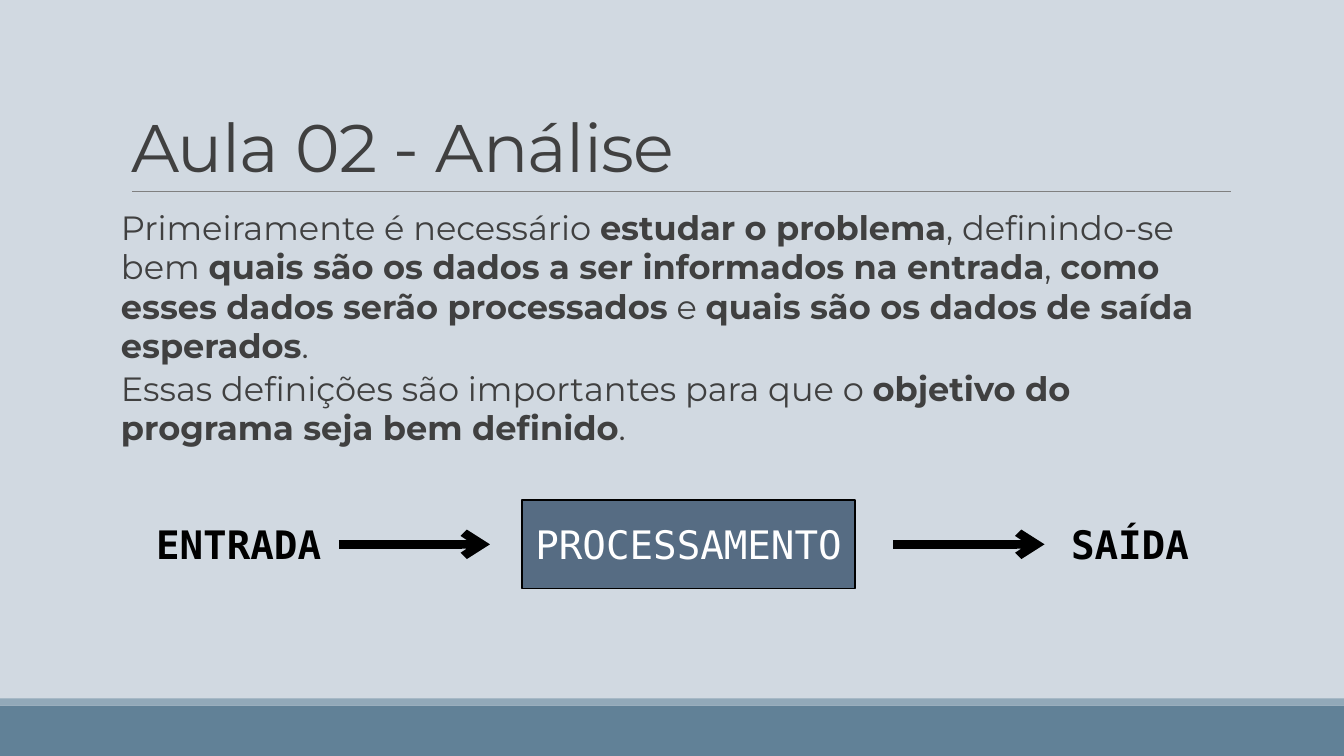
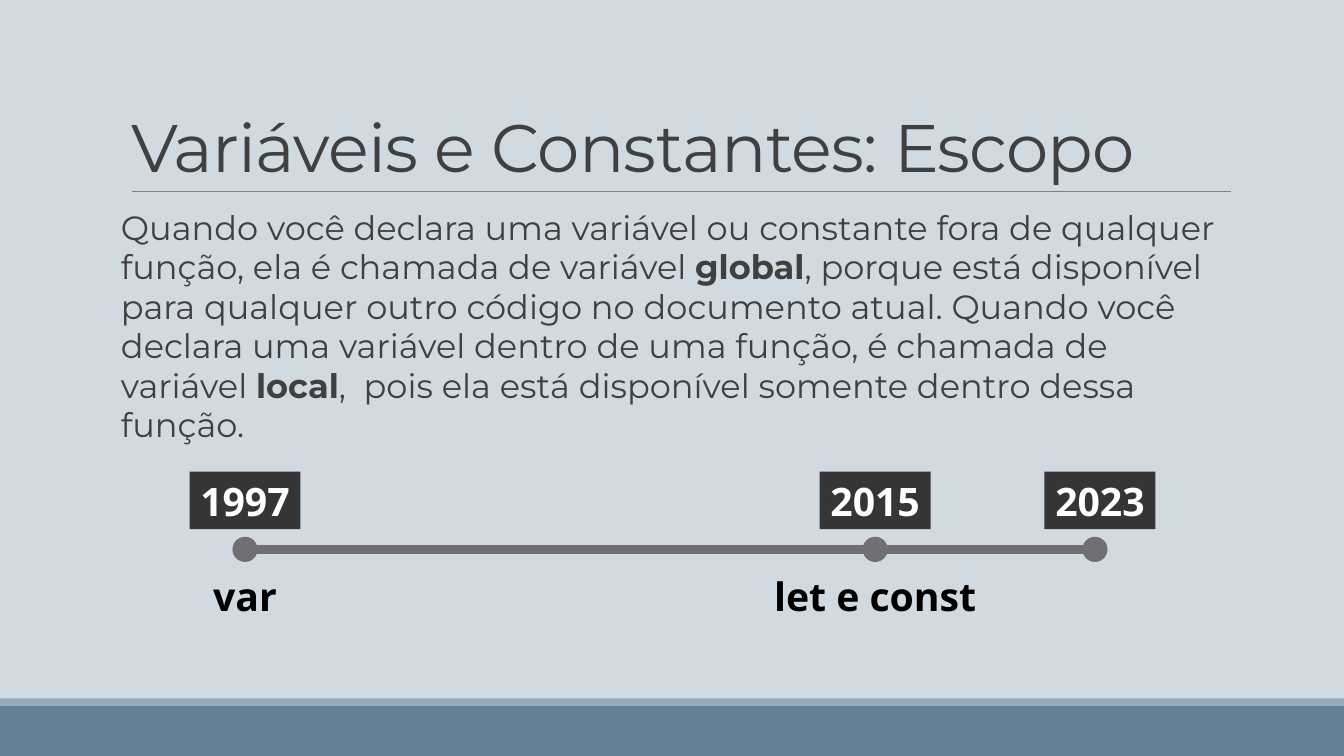
"""Two lesson slides: the analysis flow and a timeline of variable scope."""
from lxml.etree import SubElement
from pptx import Presentation
from pptx.dml.color import RGBColor
from pptx.enum.shapes import MSO_CONNECTOR, MSO_SHAPE
from pptx.enum.text import MSO_ANCHOR, MSO_AUTO_SIZE, PP_ALIGN
from pptx.oxml.ns import qn
from pptx.util import Inches, Pt

FLOW = {
    "title": "Aula 02 - Análise",
    "body": [
        "Primeiramente é necessário *estudar o problema*, definindo-se bem "
        "*quais são os dados a ser informados na entrada*, *como esses dados "
        "serão processados* e *quais são os dados de saída esperados*.",
        "Essas definições são importantes para que o *objetivo do programa "
        "seja bem definido*.",
    ],
    "steps": ("ENTRADA", "PROCESSAMENTO", "SAÍDA"),
}
SCOPE = {
    "title": "Variáveis e Constantes: Escopo",
    "body": [
        "Quando você declara uma variável ou constante fora de qualquer função, "
        "ela é chamada de variável *global*, porque está disponível para qualquer "
        "outro código no documento atual. Quando você declara uma variável dentro "
        "de uma função, é chamada de variável *local*,  pois ela está disponível "
        "somente dentro dessa função.",
    ],
    "marks": [
        ("1997", 2.43, 2.43, "var", 0.84),
        ("2015", 8.68, 8.68, "let e const", 2.22),
        ("2023", 10.91, 10.86, "", 0),
    ],
}
HUES = {
    "back": "D1D9E1", "band": "618197", "strip": "92A9B9", "rule": "808080",
    "text": "404040", "box": "566C83", "ink": "000000", "white": "FFFFFF",
    "time": "6F6F74", "tag": "353537",
}
SANS, MONO, OPEN = "Montserrat", "DejaVu Sans Mono", "Open Sans"
WIDE, HIGH = 13.33, 7.5
LEFT, SPAN, RULE = 1.2, 11, 1.9
ROW = 0.57


def hue(name):
    return RGBColor.from_string(HUES[name])


def place(item, left, top, width, height):
    item.left, item.top = Inches(left), Inches(top)
    item.width, item.height = Inches(width), Inches(height)


def style(par, face, size, color, bold=None, align=PP_ALIGN.LEFT):
    par.font.name, par.font.size, par.font.bold = face, Pt(size), bold
    par.font.color.rgb = hue(color)
    par.alignment = align


def block(slide, kind, area, fill, edge=None):
    item = slide.shapes.add_shape(kind, *map(Inches, area))
    item.shadow.inherit = False
    item.fill.solid()
    item.fill.fore_color.rgb = hue(fill)
    if edge:
        item.line.color.rgb = hue(edge)
        item.line.width = Pt(1.25)
    else:
        item.line.fill.background()
    return item


def line(slide, start, end, y, color, width, arrow=False):
    item = slide.shapes.add_connector(
        MSO_CONNECTOR.STRAIGHT, *map(Inches, (start, y, end, y)))
    item.line.color.rgb = hue(color)
    item.line.width = Pt(width)
    props = item.element.spPr
    if arrow:
        SubElement(props.find(qn("a:ln")), qn("a:tailEnd"), type="arrow")
    SubElement(props, qn("a:effectLst"))
    return item


def write(item, text, face, color, bold=True, align=PP_ALIGN.CENTER, wrap=True):
    frame = item.text_frame
    frame.word_wrap = wrap
    frame.vertical_anchor = MSO_ANCHOR.MIDDLE
    frame.text = text
    style(frame.paragraphs[0], face, 28, color, bold, align)


def label(slide, text, area, face, align=PP_ALIGN.CENTER, wrap=True):
    item = slide.shapes.add_textbox(*map(Inches, area))
    write(item, text, face, "ink", align=align, wrap=wrap)


def dress(layout, slide):
    rect = MSO_SHAPE.RECTANGLE
    parts = [
        block(slide, rect, (0, 7, WIDE, 0.5), "band"),
        block(slide, rect, (0, 6.93, WIDE, 0.07), "strip"),
        line(slide, 1.31, 12.21, RULE, "rule", 0.5),
    ]
    for part in parts:
        layout.shapes.element.append(part.element)


def fill(slide, data):
    title, body = slide.placeholders
    place(title, LEFT, 0.31, SPAN, 1.59)
    frame = title.text_frame
    frame.text = data["title"]
    frame.vertical_anchor = MSO_ANCHOR.BOTTOM
    frame.auto_size = MSO_AUTO_SIZE.NONE
    head = frame.paragraphs[0]
    head.line_spacing = 0.85
    style(head, SANS, 48, "text")
    for run in title.element.iter(qn("a:r")):
        run.get_or_add_rPr().set("spc", "-50")

    place(body, LEFT, 2.02, SPAN, 4.4)
    frame = body.text_frame
    frame.auto_size = MSO_AUTO_SIZE.NONE
    frame.margin_left = frame.margin_right = 0
    frame.text = "\n".join(data["body"])
    for par, text in zip(frame.paragraphs, data["body"]):
        par.clear()
        for spot, piece in enumerate(text.split("*")):
            run = par.add_run()
            run.text = piece
            if spot % 2:
                run.font.bold = True
        style(par, SANS, 24, "text")
        par.space_before, par.space_after = Pt(0), Pt(2)
        par.line_spacing = 0.98
    for props in body.element.iter(qn("a:pPr")):
        props.set("marL", "0")
        props.set("indent", "0")
        bare = props.makeelement(qn("a:buNone"), {})
        props.insert_element_before(bare, "a:tabLst", "a:defRPr", "a:extLst")


def flow(slide, steps):
    mid, wide, tall = 5.4, 3.11, 0.88
    first, core, last = steps
    box = block(slide, MSO_SHAPE.RECTANGLE,
                (5.18, mid - tall / 2, 3.3, tall), "box", "ink")
    write(box, core, MONO, "white", bold=False)
    top = mid - ROW / 2
    label(slide, first, (1.45, top, wide, ROW), MONO, PP_ALIGN.LEFT)
    label(slide, last, (8.78, top, wide, ROW), MONO, PP_ALIGN.RIGHT)
    for start in (3.36, 8.86):
        line(slide, start, start + 1.5, mid, "ink", 6, arrow=True)


def times(slide, marks):
    mid, wide, dot = 5.45, 1.1, 0.25
    line(slide, marks[0][1], marks[-1][1], mid, "time", 6)
    for year, x, spot, name, span in marks:
        tag = block(slide, MSO_SHAPE.RECTANGLE,
                    (x - wide / 2, 4.68, wide, ROW), "tag")
        write(tag, year, OPEN, "white", wrap=False)
        block(slide, MSO_SHAPE.OVAL,
              (spot - dot / 2, mid - dot / 2, dot, dot), "time")
        if name:
            label(slide, name, (x - span / 2, 5.63, span, ROW), OPEN, wrap=False)


deck = Presentation()
deck.slide_width, deck.slide_height = Inches(WIDE), Inches(HIGH)
back = deck.slide_master.background.fill
back.solid()
back.fore_color.rgb = hue("back")
layout = deck.slide_layouts[1]
one, two = [deck.slides.add_slide(layout) for _ in range(2)]
dress(layout, one)
fill(one, FLOW)
flow(one, FLOW["steps"])
fill(two, SCOPE)
times(two, SCOPE["marks"])
deck.save("out.pptx")
